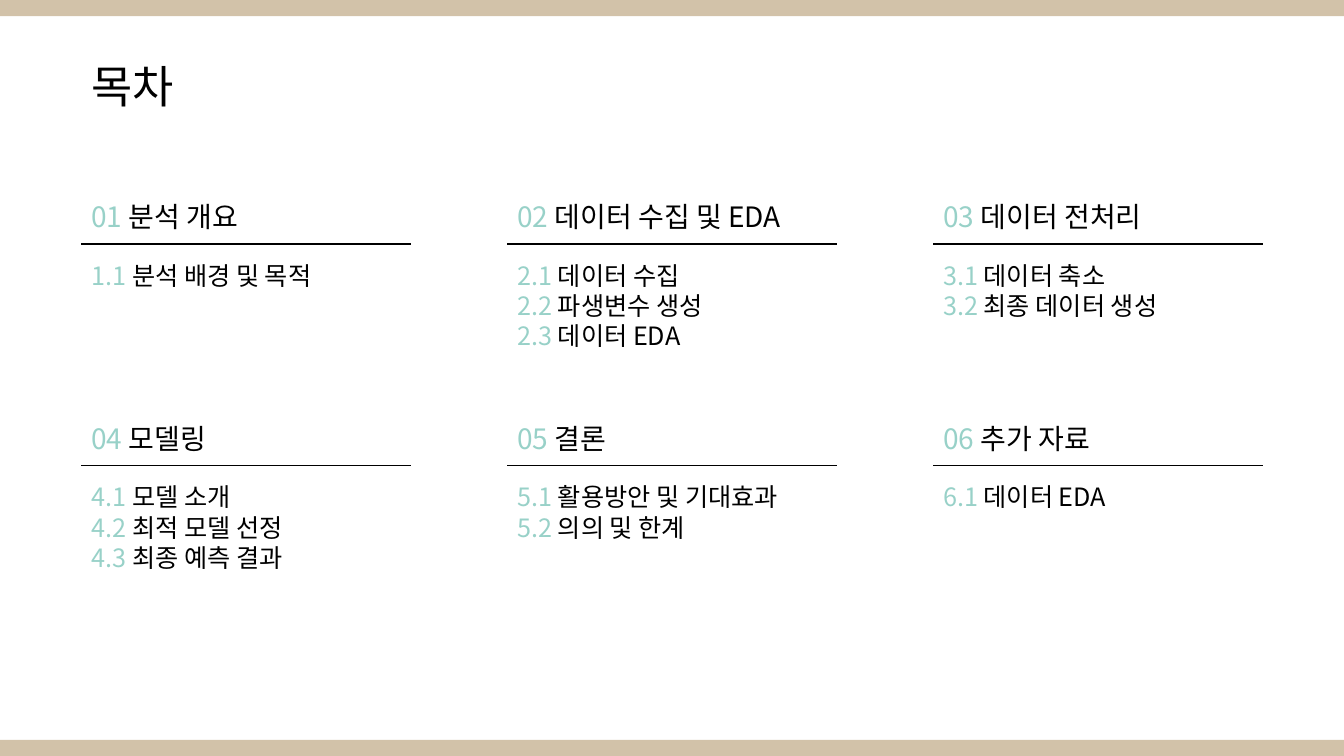
import pptx
import pptx.util
import pptx.dml.color
import pptx.enum.shapes
import pptx.enum.text
import pptx.oxml.ns
from lxml import etree

Pt = pptx.util.Pt
RGBColor = pptx.dml.color.RGBColor

TITLE = "목차"
SECTIONS = [
    ("분석 개요", ["분석 배경 및 목적"]),
    ("데이터 수집 및 EDA", ["데이터 수집", "파생변수 생성", "데이터 EDA"]),
    ("데이터 전처리", ["데이터 축소", "최종 데이터 생성"]),
    ("모델링", ["모델 소개", "최적 모델 선정", "최종 예측 결과"]),
    ("결론", ["활용방안 및 기대효과", "의의 및 한계"]),
    ("추가 자료", ["데이터 EDA"]),
]

FONT = "Noto Sans CJK KR"
BLACK = RGBColor(0x00, 0x00, 0x00)
MINT = RGBColor(0x98, 0xD1, 0xC8)
SAND = RGBColor(0xD2, 0xC2, 0xA9)

PAGE_WIDTH, PAGE_HEIGHT = 960, 540
BAND_HEIGHT = 11.5
LEFT, TOP = 58.2, 138
COLUMNS = 3
COLUMN_WIDTH = 235.6
COLUMN_STEP, ROW_STEP = 304.2, 158.4
RULE_OFFSET, ITEMS_OFFSET = 36.2, 43.2
TITLE_SIZE, HEADING_SIZE, ITEM_SIZE = 32, 20, 18
LINE_FACTOR = 1.2
INSET = 3.6


def fill_text(box, lines, size):
    frame = box.text_frame
    frame.word_wrap = True
    frame.auto_size = pptx.enum.text.MSO_AUTO_SIZE.NONE
    frame.vertical_anchor = pptx.enum.text.MSO_ANCHOR.TOP
    frame.margin_left = frame.margin_right = Pt(2 * INSET)
    frame.margin_top = Pt(INSET + 0.05 * size)
    frame.margin_bottom = 0
    for index, spans in enumerate(lines):
        para = frame.paragraphs[0] if index == 0 else frame.add_paragraph()
        para.alignment = pptx.enum.text.PP_ALIGN.LEFT
        para.line_spacing = Pt(size * LINE_FACTOR)
        para.space_before = para.space_after = Pt(0)
        for text, color in spans:
            span = para.add_run()
            span.text = text
            span.font.size = Pt(size)
            span.font.name = FONT
            span.font.color.rgb = color
            east_asian = etree.SubElement(span.font._element, pptx.oxml.ns.qn("a:ea"))
            east_asian.set("typeface", FONT)


def add_text(page, left, top, lines, size):
    height = 2 * INSET + len(lines) * size * LINE_FACTOR
    box = page.shapes.add_textbox(Pt(left), Pt(top), Pt(COLUMN_WIDTH), Pt(height))
    fill_text(box, lines, size)


def add_rule(page, left, top):
    rule = page.shapes.add_connector(
        pptx.enum.shapes.MSO_CONNECTOR.STRAIGHT,
        Pt(left), Pt(top), Pt(left + COLUMN_WIDTH), Pt(top))
    rule.line.color.rgb = BLACK
    rule.line.width = Pt(1)
    etree.SubElement(rule._element.spPr, pptx.oxml.ns.qn("a:effectLst"))


def add_section(page, index, heading, items):
    row, column = divmod(index, COLUMNS)
    left = LEFT + column * COLUMN_STEP
    top = TOP + row * ROW_STEP
    number = index + 1
    add_text(page, left, top, [[(f"{number:02d} ", MINT), (heading, BLACK)]], HEADING_SIZE)
    add_rule(page, left, top + RULE_OFFSET)
    lines = [[(f"{number}.{order} ", MINT), (item, BLACK)]
             for order, item in enumerate(items, 1)]
    add_text(page, left, top + ITEMS_OFFSET, lines, ITEM_SIZE)


def add_band(page, top):
    band = page.shapes.add_shape(
        pptx.enum.shapes.MSO_SHAPE.RECTANGLE,
        0, Pt(top), Pt(PAGE_WIDTH), Pt(BAND_HEIGHT))
    band.shadow.inherit = False
    band.fill.solid()
    band.fill.fore_color.rgb = SAND
    band.line.fill.background()


def main():
    deck = pptx.Presentation()
    deck.slide_width, deck.slide_height = Pt(PAGE_WIDTH), Pt(PAGE_HEIGHT)
    page = deck.slides.add_slide(deck.slide_layouts.get_by_name("Title Only"))
    title = page.shapes.title
    title.left, title.top, title.width, title.height = Pt(LEFT), Pt(36.7), Pt(94.3), Pt(46)
    fill_text(title, [[(TITLE, BLACK)]], TITLE_SIZE)
    for index, (heading, items) in enumerate(SECTIONS):
        add_section(page, index, heading, items)
    for top in (PAGE_HEIGHT - BAND_HEIGHT, 0):
        add_band(page, top)
    deck.save("out.pptx")


if __name__ == "__main__":
    main()
